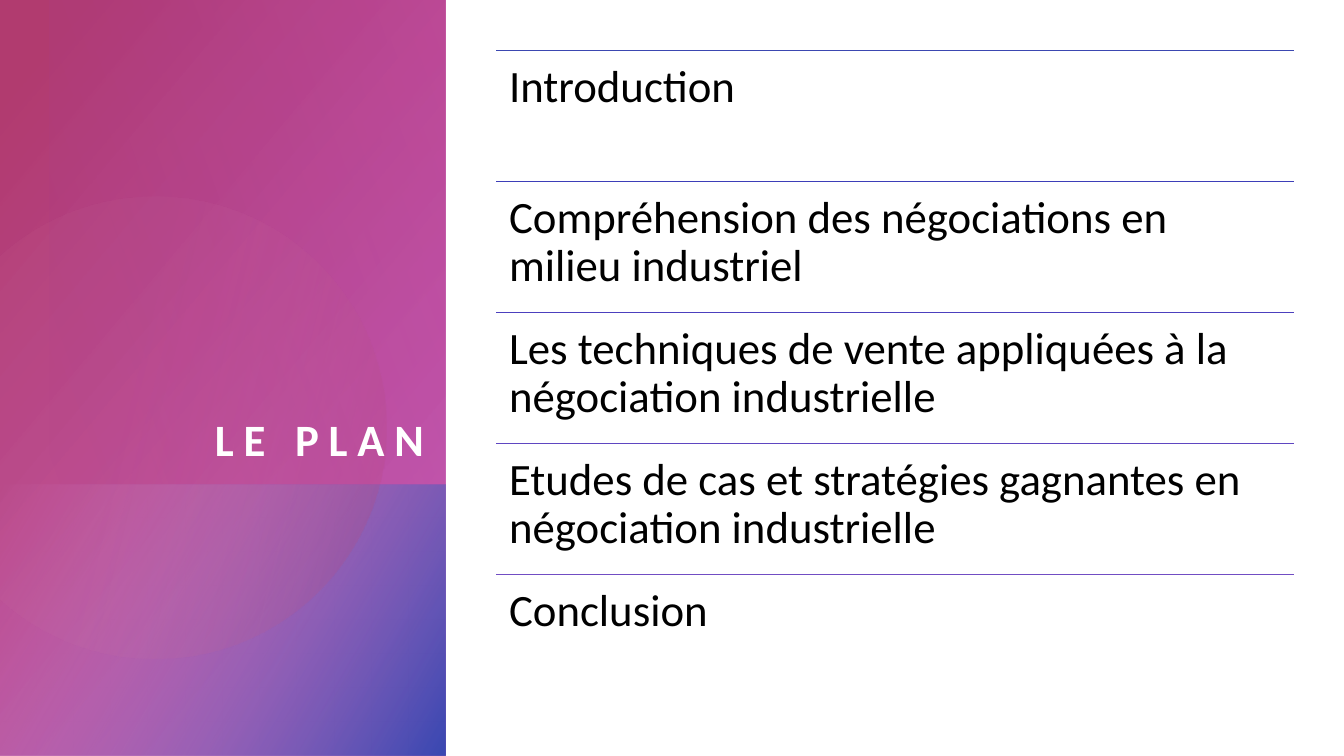
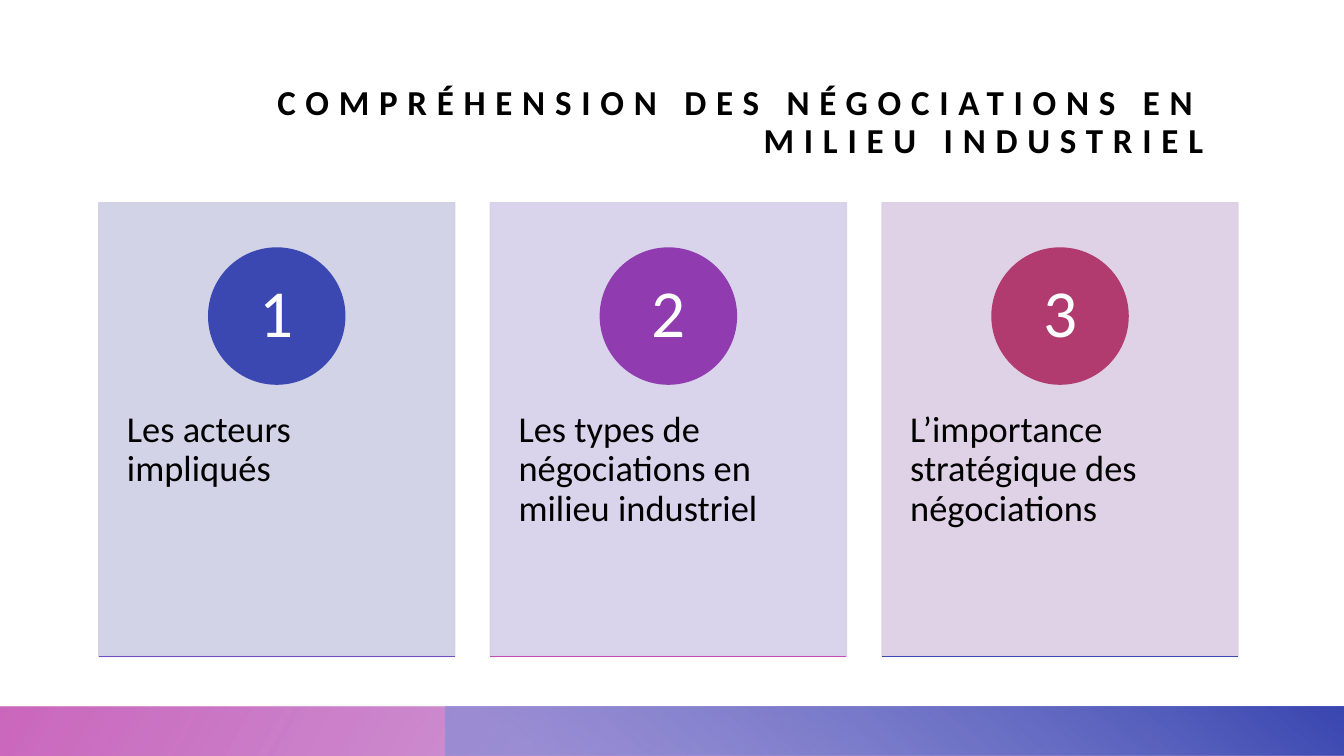
from math import acos, cos, sin

from lxml.etree import SubElement
from pptx import Presentation
from pptx.dml.color import RGBColor
from pptx.enum.shapes import MSO_CONNECTOR, MSO_SHAPE
from pptx.enum.text import MSO_ANCHOR, MSO_AUTO_SIZE, PP_ALIGN
from pptx.oxml.ns import qn
from pptx.util import Cm, Pt

WHITE = RGBColor(0xFF, 0xFF, 0xFF)
BLACK = RGBColor(0x00, 0x00, 0x00)
BLUE = RGBColor(0x3B, 0x48, 0xB1)
SKY = RGBColor(0x84, 0x8D, 0xD6)
PURPLE = RGBColor(0x91, 0x3B, 0xB1)
VIOLET = RGBColor(0x71, 0x4D, 0xC3)
PINK = RGBColor(0xC3, 0x4D, 0xB2)
PALE_PINK = RGBColor(0xDB, 0x94, 0xD1)
RED = RGBColor(0xB1, 0x3B, 0x6F)
ROSE = RGBColor(0xD6, 0x84, 0xA8)

WIDTH, HEIGHT = 33.87, 19.05
SIDE = 11.23  # width of the left panel, and start of the blue part of the band

PLAN = [
    ("Introduction", BLUE),
    ("Compréhension des négociations en milieu industriel", RGBColor(0x3D, 0x3E, 0xB8)),
    ("Les techniques de vente appliquées à la négociation industrielle", RGBColor(0x4C, 0x40, 0xBE)),
    ("Etudes de cas et stratégies gagnantes en négociation industrielle", RGBColor(0x5F, 0x46, 0xC1)),
    ("Conclusion", VIOLET),
]
CARDS = [
    ("Les acteurs impliqués", RGBColor(0xCE, 0xCF, 0xE4), BLUE, VIOLET),
    ("Les types de négociations en milieu industriel", RGBColor(0xD5, 0xD0, 0xE9), PURPLE, PINK),
    ("L’importance stratégique des négociations", RGBColor(0xDC, 0xCE, 0xE4), RED, BLUE),
]


def write(frame, text, size=32, color=BLACK, bold=False, align=PP_ALIGN.LEFT,
          anchor=MSO_ANCHOR.TOP, inset=(0, 0), track=0):
    """Fill a text frame; inset is (sides, top and bottom) in cm, track is in points."""
    frame.word_wrap = True
    frame.auto_size = MSO_AUTO_SIZE.NONE
    frame.vertical_anchor = anchor
    frame.margin_left = frame.margin_right = Cm(inset[0])
    frame.margin_top = frame.margin_bottom = Cm(inset[1])
    para = frame.paragraphs[0]
    para.alignment = align
    para.line_spacing = 0.9
    run = para.add_run()
    run.text = text
    font = run.font
    font.name, font.size, font.bold = "Calibri", Pt(size), bold
    font.color.rgb = color
    if track:
        run._r.get_or_add_rPr().set("spc", str(track * 100))


def fade(shape, *alphas):
    """Set the opacity, in percent, of each colour of the shape in turn."""
    tones = shape.element.spPr.iter(qn("a:srgbClr"))
    for tone, alpha in zip(list(tones), alphas):
        SubElement(tone, qn("a:alpha")).set("val", str(alpha * 1000))


def blend(shape, angle, *stops):
    """Gradient with a clockwise angle and two stops of (percent, colour, opacity)."""
    shape.shadow.inherit = False
    shape.line.fill.background()
    shape.fill.gradient()
    shape.fill.gradient_angle = 360 - angle
    for stop, (place, color, _) in zip(shape.fill.gradient_stops, stops):
        stop.position = place / 100
        stop.color.rgb = color
    fade(shape, *(alpha for _, _, alpha in stops))


class Deck:
    def __init__(self):
        self.show = Presentation()
        self.show.slide_width, self.show.slide_height = Cm(WIDTH), Cm(HEIGHT)

    def start(self, title, box, size, color):
        self.slide = self.show.slides.add_slide(self.show.slide_layouts[5])
        self.shapes = self.slide.shapes
        head = self.shapes.title
        head.left, head.top, head.width, head.height = map(Cm, box)
        write(head.text_frame, title, size=size, color=color, bold=True,
              align=PP_ALIGN.RIGHT, anchor=MSO_ANCHOR.BOTTOM, track=7)

    def raise_title(self):
        """Bring the title in front of the shapes drawn so far."""
        head = self.shapes.title.element
        head.getparent().append(head)

    def block(self, kind, x, y, w, h, color):
        shape = self.shapes.add_shape(kind, Cm(x), Cm(y), Cm(w), Cm(h))
        shape.shadow.inherit = False
        shape.fill.solid()
        shape.fill.fore_color.rgb = color
        shape.line.color.rgb = color
        shape.line.width = Pt(1)
        return shape

    def panel(self, x, y, w, h, angle, *stops, turn=0, flip=True):
        """Gradient rectangle that covers the given area once it is turned."""
        if turn % 180:
            x, y, w, h = x + (w - h) / 2, y + (h - w) / 2, h, w
        shape = self.shapes.add_shape(MSO_SHAPE.RECTANGLE, Cm(x), Cm(y), Cm(w), Cm(h))
        shape.rotation = turn
        if flip:
            shape.element.spPr.find(qn("a:xfrm")).set("flipH", "1")
        blend(shape, angle, *stops)

    def disc(self, x, y, radius, angle, *stops):
        """Gradient circle cut off at the left edge of the slide."""
        end, steps = acos(-x / radius), 120
        turns = [end * (2 * i / steps - 1) for i in range(steps + 1)]
        dots = [(Cm(x + radius * cos(t)), Cm(y + radius * sin(t))) for t in turns]
        path = self.shapes.build_freeform(*dots[0])
        path.add_line_segments(dots[1:], close=True)
        blend(path.convert_to_shape(), angle, *stops)

    def rule(self, x, y, w, color):
        line = self.shapes.add_connector(MSO_CONNECTOR.STRAIGHT, Cm(x), Cm(y), Cm(x + w), Cm(y))
        line.line.color.rgb = color
        line.line.width = Pt(1)
        SubElement(line.element.spPr, qn("a:effectLst"))

    def text(self, x, y, w, h, text, **style):
        box = self.shapes.add_textbox(Cm(x), Cm(y), Cm(w), Cm(h))
        write(box.text_frame, text, **style)


def plan(deck):
    deck.start("LE PLAN", (1.27, 2.41, 9.42, 9.35), 32, WHITE)
    split = 12.21
    deck.panel(0, 0, SIDE, HEIGHT, 50, (8, RED, 100), (100, PINK, 89), turn=270)
    deck.panel(0, split, SIDE, HEIGHT - split, 60, (0, PALE_PINK, 0), (99, BLUE, 100), turn=270)
    deck.disc(3.92, 10.78, 5.82, 14, (36, ROSE, 6), (100, RED, 26))
    deck.panel(1.26, 0, 9.96, split, 110, (0, PINK, 29), (100, PURPLE, 0), turn=90)
    deck.raise_title()
    left, wide, step = 12.5, 20.1, 3.3
    for i, (text, color) in enumerate(PLAN):
        top = 1.27 + i * step
        deck.rule(left, top, wide, color)
        deck.text(left, top, wide, step, text, inset=(0.33, 0.33))


def cards(deck):
    deck.start("COMPRÉHENSION DES NÉGOCIATIONS EN MILIEU INDUSTRIEL",
               (3.81, 1.27, 26.52, 2.79), 25, BLACK)
    band = 1.24
    top = HEIGHT - band
    deck.panel(0, top, WIDTH, band, 150, (14, PURPLE, 28), (100, PINK, 85), turn=180)
    deck.panel(SIDE, top, WIDTH - SIDE, band, 230, (9, SKY, 68), (99, BLUE, 100))
    wide, high, top, size = 8.97, 11.43, 5.11, 3.43
    for i, (text, fill, dot, edge) in enumerate(CARDS):
        left = 2.49 + i * 9.87
        card = deck.block(MSO_SHAPE.RECTANGLE, left, top, wide, high, fill)
        fade(card, 90, 90)
        deck.text(left, 9.45, wide, 6.86, text, size=26, inset=(0.71, 0.91))
        ball = deck.block(MSO_SHAPE.OVAL, left + (wide - size) / 2, 6.25, size, size, dot)
        write(ball.text_frame, str(i + 1), size=48, color=WHITE,
              align=PP_ALIGN.CENTER, anchor=MSO_ANCHOR.MIDDLE)
        deck.rule(left, top + high, wide, edge)


def main():
    deck = Deck()
    plan(deck)
    cards(deck)
    deck.show.save("out.pptx")


if __name__ == "__main__":
    main()
